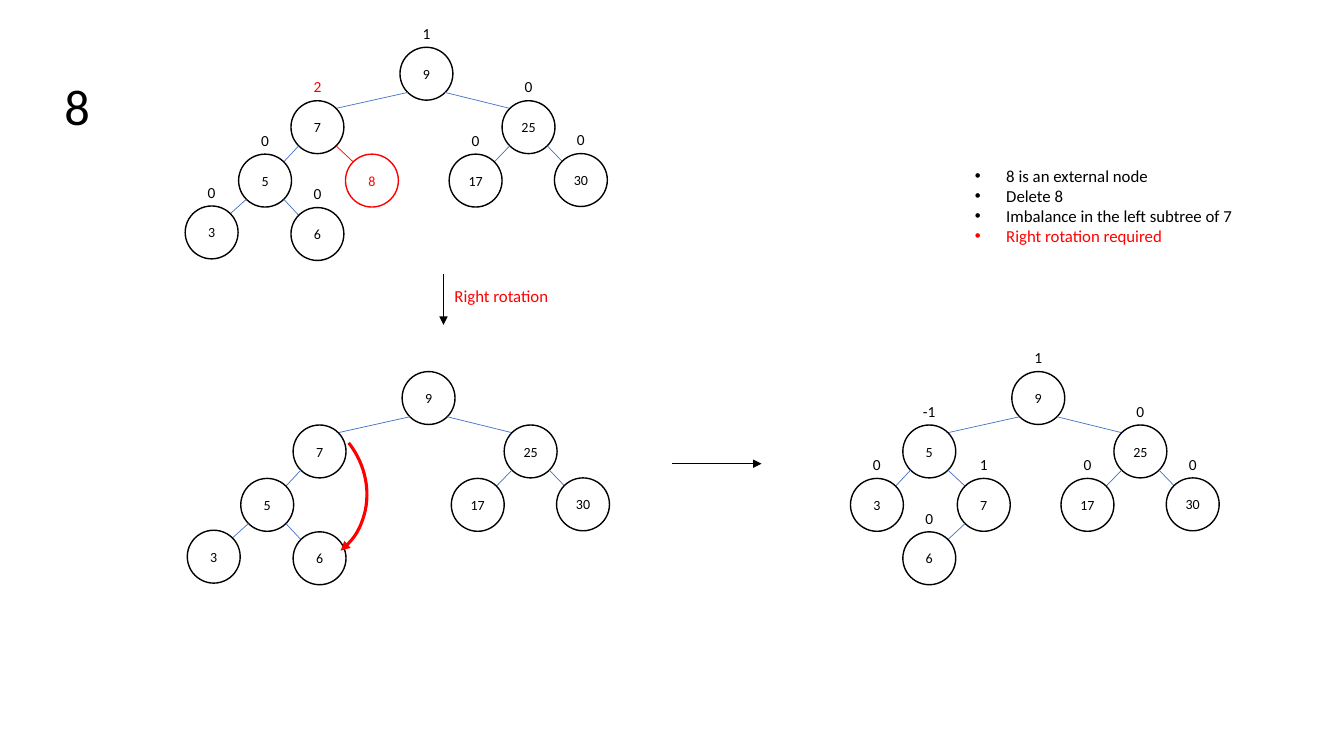
"""Build a slide showing an AVL tree deletion followed by a right rotation."""
from dataclasses import dataclass
from typing import Optional

from lxml import etree
from pptx import Presentation
from pptx import util as u
from pptx.dml.color import RGBColor
from pptx.enum import shapes, text
from pptx.oxml import ns

BLACK = RGBColor(0x00, 0x00, 0x00)
RED = RGBColor(0xFF, 0x00, 0x00)
BLUE = RGBColor(0x44, 0x72, 0xC4)
FONT = "Calibri"
CELL = 0.53
DIAMETER = 0.99
RIM = DIAMETER / 2 * 0.71
BALANCE_RISE = 1.02
BALANCE_PADDING, BALANCE_CHARACTER, BALANCE_HEIGHT = 0.4, 0.13, 0.55


@dataclass(frozen=True)
class Node:
    """A tree node placed in cells from its root."""

    key: str
    column: float
    row: float
    parent: str = ""
    balance: str = ""
    colour: RGBColor = BLACK
    balance_colour: RGBColor = BLACK


@dataclass(frozen=True)
class Tree:
    """A tree whose root is centred on a grid position."""

    column: float
    row: float
    nodes: tuple[Node, ...]


@dataclass(frozen=True)
class Line:
    """A straight line between two grid positions."""

    start: tuple[float, float]
    end: tuple[float, float]
    colour: RGBColor = BLACK
    arrow: bool = False


def upper_nodes(balances: tuple[str, str, str, str]) -> tuple[Node, ...]:
    """Return the root and right subtree shared by all trees."""
    root, right, inner, outer = balances
    return (
        Node("9", 0, 0, balance=root),
        Node("25", 1.91, 1, "9", right),
        Node("17", 0.92, 2, "25", inner),
        Node("30", 2.89, 1.99, "25", outer),
    )


BEFORE = Tree(7.98, 1.38, upper_nodes(("1", "0", "0", "0")) + (
    Node("7", -2.04, 1, "9", "2", balance_colour=RED),
    Node("5", -3.02, 2, "7", "0"),
    Node("8", -1.02, 2, "7", colour=RED),
    Node("3", -4.02, 2.97, "5", "0"),
    Node("6", -2.04, 3, "5", "0"),
))
ROTATING = Tree(8.02, 7.45, upper_nodes(("", "", "", "")) + (
    Node("7", -2.04, 1, "9"),
    Node("5", -3.02, 2, "7"),
    Node("3", -4.02, 2.97, "5"),
    Node("6", -2.04, 3, "5"),
))
AFTER = Tree(19.43, 7.45, upper_nodes(("1", "0", "0", "0")) + (
    Node("5", -2.04, 1, "9", "-1"),
    Node("3", -3.02, 2, "5", "0"),
    Node("7", -1.02, 2, "5", "1"),
    Node("6", -2.04, 3, "7", "0"),
))
ARROWS = (
    Line((8.3, 5.13), (8.3, 6.08), arrow=True),
    Line((12.58, 8.68), (14.25, 8.68), arrow=True),
)
STEPS = (
    ("8 is an external node", BLACK),
    ("Delete 8", BLACK),
    ("Imbalance in the left subtree of 7", BLACK),
    ("Right rotation required", RED),
)


def cells(*counts: float) -> list[u.Length]:
    """Convert grid cells to slide lengths."""
    return [u.Inches(count * CELL) for count in counts]


def write(frame, lines, *, size: float, centred: bool = False,
          bullet: bool = False, wrap: bool = False) -> None:
    """Fill a text frame with coloured lines."""
    frame.word_wrap = wrap
    for index, (words, colour) in enumerate(lines):
        para = frame.add_paragraph() if index else frame.paragraphs[0]
        para.alignment = text.PP_ALIGN.CENTER if centred else text.PP_ALIGN.LEFT
        span = para.add_run()
        span.text = words
        span.font.name = FONT
        span.font.size = u.Pt(size)
        span.font.color.rgb = colour
        if bullet:
            properties = para._p.get_or_add_pPr()
            indent = u.Inches(0.31)
            properties.set("marL", str(indent))
            properties.set("indent", str(-indent))
            etree.SubElement(properties, ns.qn("a:buFont"), typeface="Arial")
            etree.SubElement(properties, ns.qn("a:buChar"), char="•")


def add_text(page, place: tuple[float, float, float, float], lines, **style) -> None:
    """Add a text box that grows with its text."""
    box = page.shapes.add_textbox(*cells(*place))
    write(box.text_frame, lines, **style)
    box.text_frame.auto_size = text.MSO_AUTO_SIZE.SHAPE_TO_FIT_TEXT


def stroke(shape, colour: RGBColor, width: float, arrow: bool = False) -> None:
    """Set an outline, with an optional arrowhead."""
    shape.line.color.rgb = colour
    shape.line.width = u.Pt(width)
    if arrow:
        outline = shape.element.spPr.find(ns.qn("a:ln"))
        etree.SubElement(outline, ns.qn("a:tailEnd"), type="triangle")


def add_line(page, line: Line) -> None:
    """Draw a thin straight line."""
    connector = page.shapes.add_connector(
        shapes.MSO_CONNECTOR.STRAIGHT, *cells(*line.start, *line.end))
    stroke(connector, line.colour, 0.5, line.arrow)
    etree.SubElement(connector.element.spPr, ns.qn("a:effectLst"))


def add_outline(page, kind, place: tuple[float, float, float, float],
                colour: RGBColor, width: float, arrow: bool = False):
    """Add an unfilled preset shape."""
    shape = page.shapes.add_shape(kind, *cells(*place))
    shape.shadow.inherit = False
    shape.fill.background()
    stroke(shape, colour, width, arrow)
    return shape


def add_node(page, tree: Tree, node: Node, parent: Optional[Node]) -> None:
    """Draw a node, the edge to its parent and its balance factor."""
    column, row = tree.column + node.column, tree.row + node.row
    if parent:
        side = RIM if node.column > parent.column else -RIM
        start = (tree.column + parent.column + side, tree.row + parent.row + RIM)
        edge_colour = RED if node.colour == RED else BLUE
        add_line(page, Line(start, (column - side, row - RIM), edge_colour))
    place = (column - DIAMETER / 2, row - DIAMETER / 2, DIAMETER, DIAMETER)
    circle = add_outline(page, shapes.MSO_SHAPE.OVAL, place, node.colour, 1)
    circle.text_frame.vertical_anchor = text.MSO_ANCHOR.MIDDLE
    write(circle.text_frame, [(node.key, node.colour)], size=10, centred=True)
    if node.balance:
        width = BALANCE_PADDING + BALANCE_CHARACTER * len(node.balance)
        place = (column - width / 2, row - BALANCE_RISE, width, BALANCE_HEIGHT)
        add_text(page, place, [(node.balance, node.balance_colour)],
                 size=11, centred=True)


def add_tree(page, tree: Tree) -> None:
    """Draw every node of a tree."""
    by_key = {node.key: node for node in tree.nodes}
    for node in tree.nodes:
        add_node(page, tree, node, by_key.get(node.parent))


def main() -> None:
    """Build and save the deck."""
    deck = Presentation()
    deck.slide_width, deck.slide_height = u.Inches(13.33), u.Inches(7.5)
    page = deck.slides.add_slide(deck.slide_layouts[6])
    add_text(page, (1.02, 1.32, 3.21, 1.34), [("8", BLACK)], size=36, wrap=True)
    add_text(page, (18.06, 3, 5.26, 1.72), STEPS, size=12, bullet=True)
    add_text(page, (8.32, 5.26, 2.15, 0.57), [("Right rotation", RED)], size=12)
    for arrow in ARROWS:
        add_line(page, arrow)
    for tree in (BEFORE, ROTATING, AFTER):
        add_tree(page, tree)
    turn = add_outline(page, shapes.MSO_SHAPE.ARC, (3.96, 7.77, 2.98, 2.74),
                       RED, 2.25, arrow=True)
    turn.rotation = 51.7
    deck.save("out.pptx")


if __name__ == "__main__":
    main()
